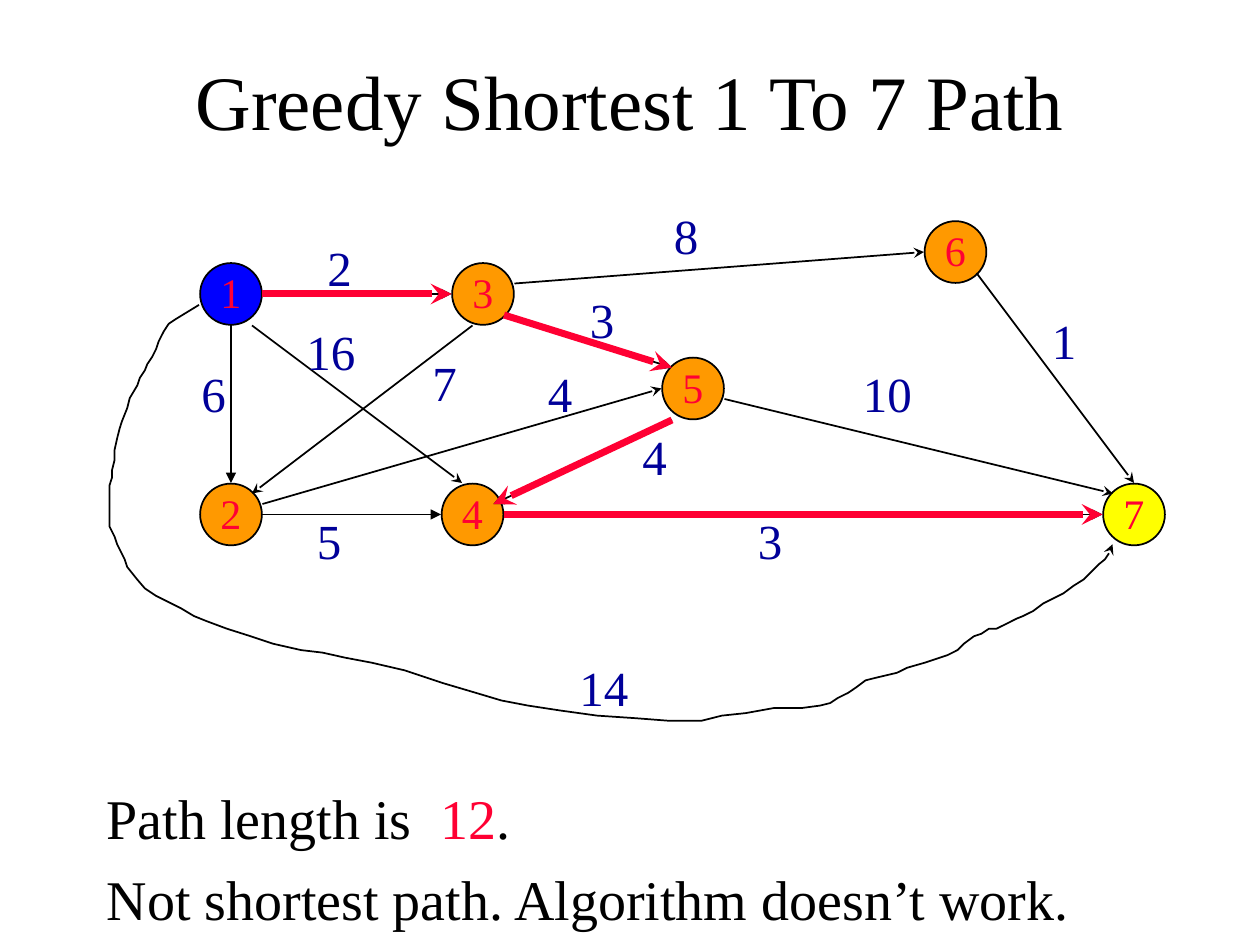
from dataclasses import dataclass

import pptx
import pptx.dml.color
import pptx.enum.shapes
import pptx.enum.text
import pptx.oxml.ns
import pptx.util
from lxml import etree

COLORS = {
    "ink": "000000",
    "greedy": "FF0033",
    "weight": "000099",
    "source": "0000FF",
    "vertex": "FF9900",
    "target": "FFFF00",
}
FONT = "Times New Roman"
COLUMNS, ROWS = 120, 90
NODE_SIZE = 5.88
DETOUR_SCALE = 9144

presentation = pptx.Presentation()
presentation.slide_width = pptx.util.Inches(10)
presentation.slide_height = pptx.util.Inches(7.5)
slide = presentation.slides.add_slide(presentation.slide_layouts[6])


@dataclass(frozen=True)
class Node:
    name: str
    column: float
    row: float
    role: str = "vertex"


@dataclass(frozen=True)
class Edge:
    start: tuple[float, float]
    end: tuple[float, float]
    greedy: bool = False
    head: str = "stealth"


@dataclass(frozen=True)
class Weight:
    value: str
    column: float
    row: float


NODES = [
    Node("1", 22, 28, "source"),
    Node("2", 22, 49),
    Node("3", 46, 28),
    Node("4", 45, 49),
    Node("5", 66, 37),
    Node("6", 91, 24),
    Node("7", 108, 49, "target"),
]
EDGES = [
    Edge((93, 26), (108, 46)),
    Edge((49, 27), (88, 24)),
    Edge((25, 28), (43, 28), greedy=True),
    Edge((22, 31), (22, 46), head="triangle"),
    Edge((25, 49), (42, 49), head="triangle"),
    Edge((24, 31), (44, 46)),
    Edge((45, 31), (24, 47)),
    Edge((48, 30), (64, 35), greedy=True),
    Edge((25, 48), (63, 37)),
    Edge((64, 40), (47, 48), greedy=True),
    Edge((48, 49), (105, 49), greedy=True),
    Edge((69, 38), (106, 47)),
]
WEIGHTS = [
    Weight("2", 30, 22), Weight("6", 18, 34), Weight("16", 28, 30),
    Weight("7", 40, 33), Weight("8", 63, 19), Weight("10", 81, 34),
    Weight("3", 55, 27), Weight("14", 54, 62), Weight("4", 51, 34),
    Weight("4", 60, 40), Weight("5", 29, 48), Weight("3", 71, 48),
    Weight("1", 99, 29),
]
DETOUR = [
    (158, 242), (140, 253), (134, 257), (130, 263), (126, 271), (124, 277),
    (121, 283), (117, 289), (115, 294), (111, 300), (109, 306), (103, 316),
    (101, 324), (97, 334), (95, 340), (93, 348), (91, 357), (91, 365),
    (89, 373), (89, 379), (87, 385), (87, 418), (91, 426), (93, 432),
    (99, 444), (101, 450), (109, 460), (115, 467), (124, 473), (136, 479),
    (144, 483), (154, 489), (164, 493), (180, 499), (199, 505), (217, 511),
    (239, 516), (256, 518), (274, 522), (295, 526), (321, 532), (351, 542),
    (378, 550), (398, 556), (419, 560), (445, 564), (474, 568), (504, 570),
    (530, 572), (557, 572), (573, 568), (592, 566), (614, 562), (636, 562),
    (651, 560), (659, 558), (665, 554), (673, 550), (679, 546), (687, 540),
    (695, 538), (712, 534), (720, 530), (734, 526), (746, 522), (752, 520),
    (760, 516), (765, 511), (773, 505), (779, 503), (785, 499), (791, 499),
    (799, 495), (807, 491), (812, 489), (820, 485), (828, 479), (844, 471),
    (852, 465), (860, 460), (866, 454), (872, 448), (877, 444), (881, 438),
    (883, 432),
]


def across(columns: float) -> int:
    return round(presentation.slide_width * columns / COLUMNS)


def down(rows: float) -> int:
    return round(presentation.slide_height * rows / ROWS)


def color(name: str) -> pptx.dml.color.RGBColor:
    return pptx.dml.color.RGBColor.from_string(COLORS[name])


def style_line(line, name: str = "ink", width: float = 1, head: str = "") -> None:
    line.color.rgb = color(name)
    line.width = pptx.util.Pt(width)
    if head:
        tail = etree.SubElement(line._get_or_add_ln(), pptx.oxml.ns.qn("a:tailEnd"))
        tail.set("type", head)


def style_paragraph(paragraph, size: float, name: str) -> None:
    paragraph.font.name = FONT
    paragraph.font.size = pptx.util.Pt(size)
    paragraph.font.color.rgb = color(name)


def add_frame(column: float, row: float, width: float, height: float, wrap: bool = True):
    box = slide.shapes.add_textbox(across(column), down(row), across(width), down(height))
    box.text_frame.word_wrap = wrap
    return box.text_frame


def draw_node(node: Node) -> None:
    circle = slide.shapes.add_shape(
        pptx.enum.shapes.MSO_SHAPE.OVAL,
        across(node.column - NODE_SIZE / 2), down(node.row - NODE_SIZE / 2),
        across(NODE_SIZE), down(NODE_SIZE))
    circle.shadow.inherit = False
    circle.fill.solid()
    circle.fill.fore_color.rgb = color(node.role)
    style_line(circle.line)
    frame = add_frame(node.column - 2.2, node.row - 3.2, 4.4, 6, wrap=False)
    frame.auto_size = pptx.enum.text.MSO_AUTO_SIZE.SHAPE_TO_FIT_TEXT
    frame.text = node.name
    style_paragraph(frame.paragraphs[0], 24, "greedy")


def draw_edge(edge: Edge, name: str, width: float) -> None:
    connector = slide.shapes.add_connector(
        pptx.enum.shapes.MSO_CONNECTOR.STRAIGHT,
        across(edge.start[0]), down(edge.start[1]),
        across(edge.end[0]), down(edge.end[1]))
    style_line(connector.line, name, width, edge.head)
    etree.SubElement(connector._element.spPr, pptx.oxml.ns.qn("a:effectLst"))


def draw_detour(points: list[tuple[int, int]]) -> None:
    builder = slide.shapes.build_freeform(*points[0], scale=DETOUR_SCALE)
    builder.add_line_segments(points[1:], close=False)
    detour = builder.convert_to_shape()
    detour.shadow.inherit = False
    detour.fill.background()
    style_line(detour.line, head="stealth")


def draw_weight(weight: Weight) -> None:
    frame = add_frame(weight.column, weight.row, 2 + 3 * len(weight.value), 6.84)
    frame.auto_size = pptx.enum.text.MSO_AUTO_SIZE.SHAPE_TO_FIT_TEXT
    frame.text = weight.value
    frame.paragraphs[0].space_before = pptx.util.Pt(17.5)
    style_paragraph(frame.paragraphs[0], 28, "weight")


title = add_frame(9, 2, 102, 15)
title.vertical_anchor = pptx.enum.text.MSO_ANCHOR.MIDDLE
title.text = "Greedy Shortest 1 To 7 Path"
title.paragraphs[0].alignment = pptx.enum.text.PP_ALIGN.CENTER
style_paragraph(title.paragraphs[0], 44, "ink")

for node in NODES:
    draw_node(node)
for edge in EDGES:
    draw_edge(edge, "ink", 1)
draw_detour(DETOUR)
for weight in WEIGHTS:
    draw_weight(weight)
for edge in EDGES:
    if edge.greedy:
        draw_edge(edge, "greedy", 4)

conclusion = add_frame(9, 74, 102, 15)
length_line = conclusion.paragraphs[0]
for words, tone in (("Path length is  ", "ink"), ("12", "greedy"), (".", "ink")):
    run = length_line.add_run()
    run.text = words
    run.font.color.rgb = color(tone)
verdict = conclusion.add_paragraph()
verdict.text = "Not shortest path. Algorithm doesn’t work."
for paragraph in conclusion.paragraphs:
    style_paragraph(paragraph, 32, "ink")
    paragraph.space_before = pptx.util.Pt(8)
    indent = pptx.util.Inches(0.38)
    properties = paragraph._p.get_or_add_pPr()
    properties.set("marL", str(indent))
    properties.set("indent", str(-indent))

presentation.save("out.pptx")
